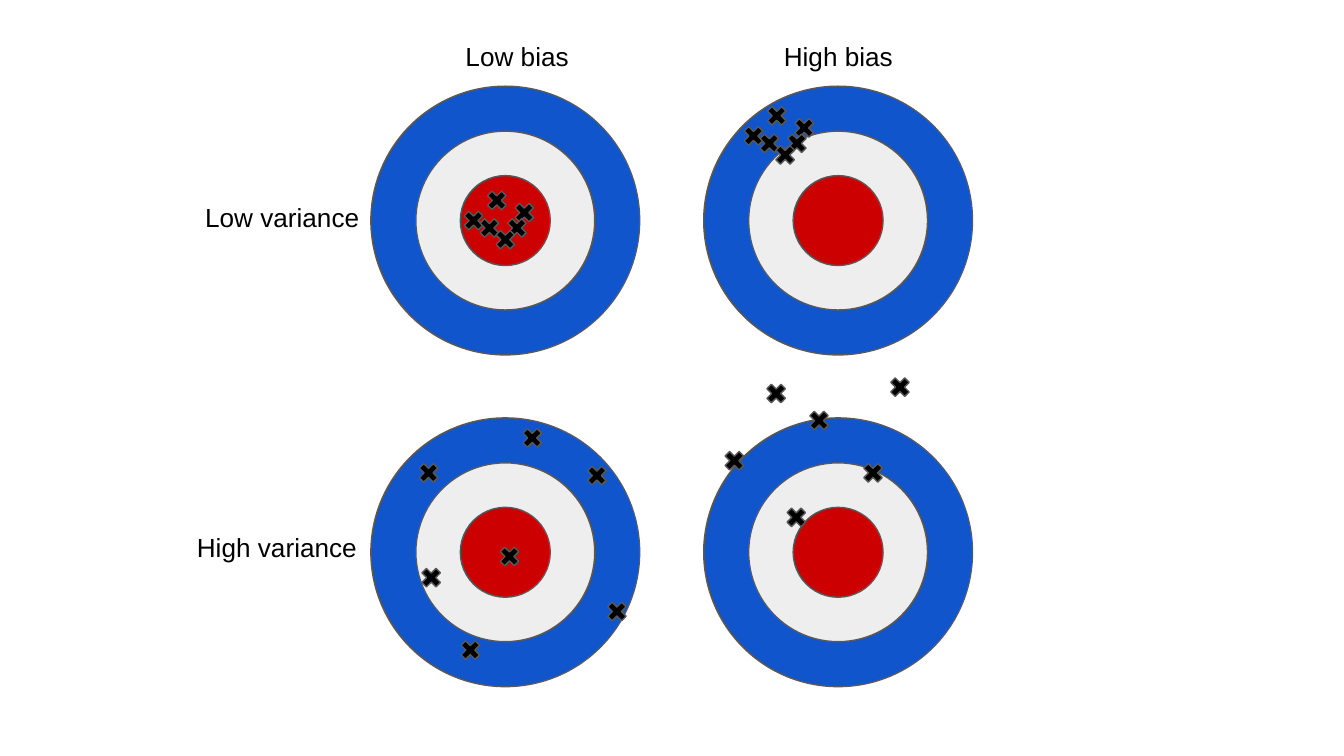
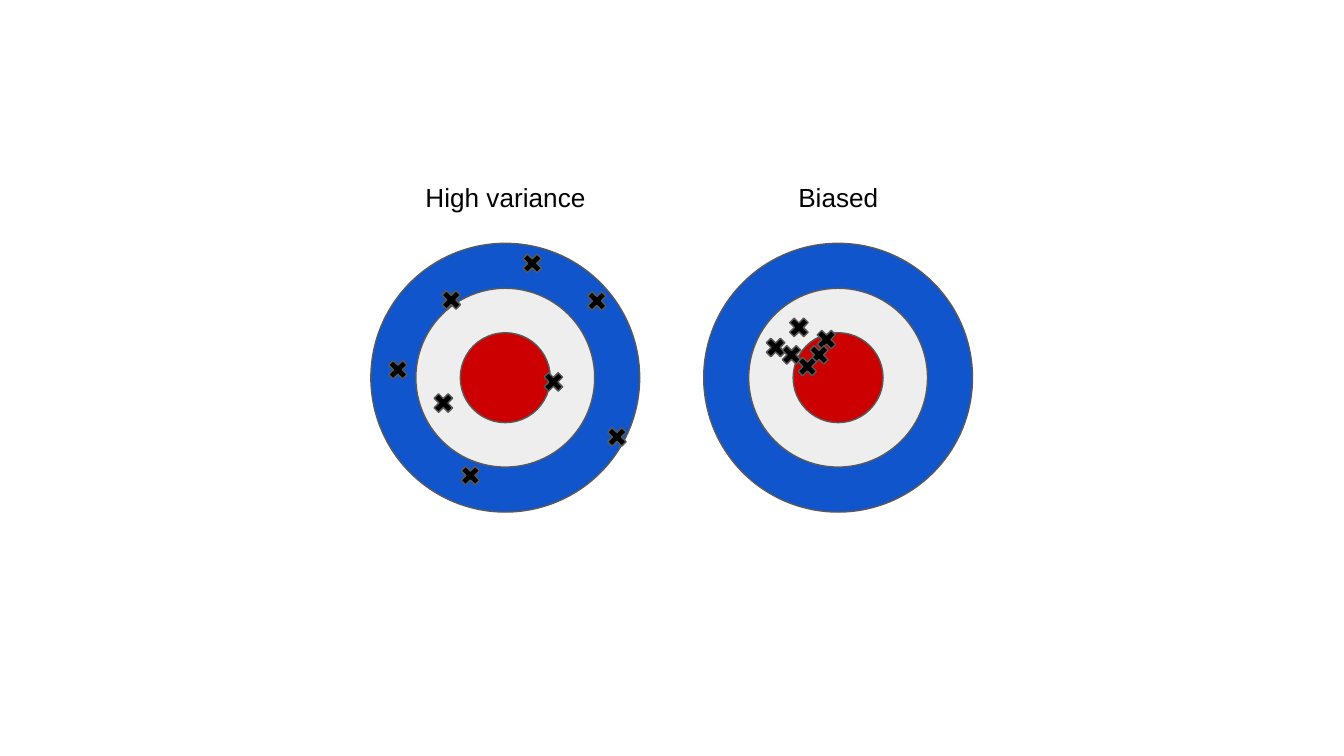
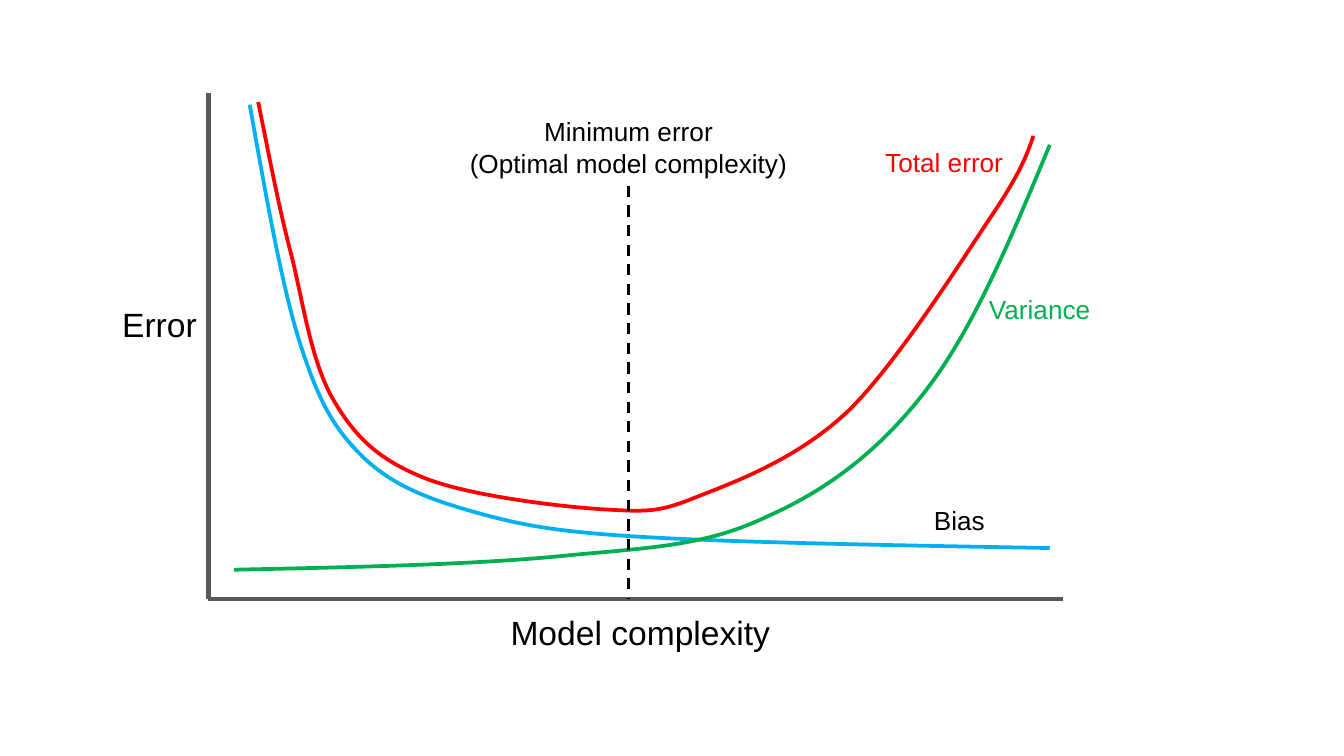
from dataclasses import dataclass

from lxml import etree
from pptx import Presentation
from pptx import util as u
from pptx.dml.color import RGBColor
from pptx.enum import dml, shapes, text
from pptx.oxml.ns import qn


@dataclass(frozen=True)
class Theme:
    font: str = "Arial"
    label: int = 14
    axis_label: int = 18
    ink: str = "000000"
    outline: str = "595959"
    outer: str = "1155CC"
    middle: str = "EEEEEE"
    bullseye: str = "CC0000"
    bias: str = "00B0F0"
    variance: str = "00B050"
    total: str = "FF0000"


theme = Theme()
prs = Presentation()
prs.slide_width, prs.slide_height = u.Cm(25.4), u.Cm(14.29)
blank = prs.slide_layouts[6]


def write(slide, words, left, top, width, height=1.27, size=theme.label, color=theme.ink,
          align=text.PP_ALIGN.CENTER, wrap=True, inset=0.25, outline=None):
    box = slide.shapes.add_textbox(u.Cm(left), u.Cm(top), u.Cm(width), u.Cm(height))
    frame = box.text_frame
    frame.word_wrap = wrap
    if not wrap:
        frame.auto_size = text.MSO_AUTO_SIZE.SHAPE_TO_FIT_TEXT
    frame.margin_left = frame.margin_right = u.Cm(0.25)
    frame.margin_top = frame.margin_bottom = u.Cm(inset)
    frame.text = words
    for paragraph in frame.paragraphs:
        paragraph.alignment = align
        font = paragraph.runs[0].font
        font.name, font.size = theme.font, u.Pt(size)
        font.color.rgb = RGBColor.from_string(color)
        if outline:
            edge = etree.Element(qn("a:ln"), w=str(u.Pt(0.75)))
            fill = etree.SubElement(edge, qn("a:solidFill"))
            etree.SubElement(fill, qn("a:srgbClr"), val=outline)
            paragraph.runs[0]._r.get_or_add_rPr().insert(0, edge)
    return box


def draw_target(canvas, center_x, center_y, shots):
    """Draw the three rings, then the shots given as offsets from the centre."""
    oval, cross = shapes.MSO_SHAPE.OVAL, shapes.MSO_SHAPE.MATH_MULTIPLY
    parts = [(oval, theme.outer, 5.08, 0, 0),
             (oval, theme.middle, 3.38, 0, 0),
             (oval, theme.bullseye, 1.7, 0, 0)]
    parts += [(cross, theme.ink, 0.51, dx, dy) for dx, dy in shots]
    for kind, color, size, dx, dy in parts:
        part = canvas.add_shape(kind, u.Cm(center_x + dx - size / 2),
                                u.Cm(center_y + dy - size / 2), u.Cm(size), u.Cm(size))
        part.shadow.inherit = False
        part.fill.solid()
        part.fill.fore_color.rgb = RGBColor.from_string(color)
        part.line.color.rgb = RGBColor.from_string(theme.outline)
        part.line.width = u.Pt(0.75)


# Shot patterns, in cm from the target centre
cluster = [(0.36, -0.15), (-0.6, 0), (-0.3, 0.14), (0.22, 0.14), (0, 0.36), (-0.16, -0.38)]
high_bias_cluster = [(x - 1, y - 1.6) for x, y in cluster]
biased_cluster = [(x - 0.58, y - 0.57) for x, y in cluster]
scatter = [(0.51, -2.16), (2.11, 1.12), (-0.66, 1.85), (1.73, -1.45)]
centered_scatter = scatter + [(0.08, 0.08), (-1.45, -1.5), (-1.4, 0.48)]
wide_scatter = scatter + [(-2.03, -0.15), (0.91, 0.08), (-1.02, -1.47), (-1.17, 0.48)]
high_bias_scatter = [(1.17, -3.12), (-0.79, -0.66), (0.66, -1.5),
                     (-1.96, -1.73), (-0.36, -2.49), (-1.17, -3)]
low_x, high_x = 9.55, 15.84

# Slide 1: bias against variance
grid = prs.slides.add_slide(blank)
for center_y, row in [(4.17, (cluster, high_bias_cluster)),
                      (10.44, (centered_scatter, high_bias_scatter))]:
    for center_x, shots in zip((low_x, high_x), row):
        draw_target(grid.shapes, center_x, center_y, shots)
for words, left, top, width in [("Low bias", 8.2, 0.51, 3.15),
                                ("High bias", 14.27, 0.51, 3.15),
                                ("Low variance", 3.58, 3.56, 3.51),
                                ("High variance", 3.38, 9.8, 3.71)]:
    write(grid, words, left, top, width)

# Slide 2: high variance beside bias
pair = prs.slides.add_slide(blank)
draw_target(pair.shapes, high_x, 7.14, biased_cluster)
draw_target(pair.shapes.add_group_shape().shapes, low_x, 7.14, wide_scatter)
write(pair, "Biased", 14.27, 3.18, 3.15)
write(pair, "High variance", 7.7, 3.18, 3.71)

# Slide 3: error against model complexity
tradeoff = prs.slides.add_slide(blank)

# Curves: a start point, then two control points and an end point per segment
curves = [
    (theme.bias, [
        (4.72, 1.98),
        (5.03, 3.71), (5.33, 5.44), (5.69, 6.55),
        (6.05, 7.65), (6.32, 8.1), (6.86, 8.64),
        (7.42, 9.17), (8.05, 9.42), (8.97, 9.68),
        (9.86, 9.93), (10.52, 10.06), (12.32, 10.16),
        (14.15, 10.26), (16.99, 10.31), (19.84, 10.36)]),
    (theme.variance, [
        (4.42, 10.77),
        (6.78, 10.72), (9.12, 10.67), (10.82, 10.49),
        (12.5, 10.34), (13.41, 10.29), (14.53, 9.75),
        (15.65, 9.25), (16.64, 8.51), (17.53, 7.34),
        (18.42, 6.17), (19.13, 4.45), (19.84, 2.74)]),
    (theme.total, [
        (4.88, 1.93),
        (5.08, 2.9), (5.26, 3.89), (5.51, 4.83),
        (5.74, 5.77), (5.89, 6.88), (6.32, 7.59),
        (6.73, 8.28), (7.16, 8.69), (8.03, 9.04),
        (8.86, 9.37), (10.57, 9.58), (11.43, 9.63),
        (12.29, 9.68), (12.47, 9.68), (13.23, 9.37),
        (14, 9.07), (15.11, 8.64), (16.03, 7.77),
        (16.94, 6.88), (18.14, 4.98), (18.72, 4.11),
        (19.3, 3.25), (19.41, 2.92), (19.53, 2.57)]),
]
for color, points in curves:
    start, *rest = [(u.Cm(x), u.Cm(y)) for x, y in points]
    builder = tradeoff.shapes.build_freeform(*start)
    builder.add_line_segments(rest, close=False)
    curve = builder.convert_to_shape()
    curve.shadow.inherit = False
    curve.fill.background()
    curve.line.color.rgb = RGBColor.from_string(color)
    curve.line.width = u.Pt(2)
    # Turn each three straight steps into one Bezier segment
    steps = curve._element.xpath(".//a:lnTo")
    for first in range(0, len(steps), 3):
        bezier = etree.Element(qn("a:cubicBezTo"))
        steps[first].addprevious(bezier)
        for step in steps[first:first + 3]:
            bezier.append(step[0])
            step.getparent().remove(step)

# Labels
left_align = text.PP_ALIGN.LEFT
for words, left, top, width, height, size, color, outline in [
        ("Error", 2.06, 5.61, 1.93, 1.02, theme.axis_label, theme.ink, None),
        ("Model complexity", 9.4, 11.43, 5.46, 1.02, theme.axis_label, theme.ink, None),
        ("Total error", 16.48, 2.64, 2.79, 0.86, theme.label, theme.total, None),
        ("Variance", 18.44, 5.41, 2.49, 0.86, theme.label, theme.variance, None),
        ("Bias", 17.4, 9.4, 1.47, 0.86, theme.label, theme.ink, theme.bias)]:
    write(tradeoff, words, left, top, width, height, size=size, color=color,
          align=left_align, wrap=False, inset=0.13, outline=outline)
optimum = write(tradeoff, "Minimum error\n(Optimal model complexity)", 8.61, 2.06, 6.54, 1.45,
                wrap=False, inset=0.13)

# Axes and the line of minimum error
origin_x, origin_y, optimum_x = 3.94, 11.33, 11.88
for x1, y1, x2, y2, color, weight, dash in [
        (origin_x, 1.75, origin_x, origin_y, theme.outline, 2.25, None),
        (origin_x, origin_y, 20.09, origin_y, theme.outline, 2.25, None),
        (optimum_x, 3.51, optimum_x, origin_y, theme.ink, 1.5, dml.MSO_LINE.DASH)]:
    rule = tradeoff.shapes.add_connector(shapes.MSO_CONNECTOR.STRAIGHT,
                                         u.Cm(x1), u.Cm(y1), u.Cm(x2), u.Cm(y2))
    rule.line.color.rgb = RGBColor.from_string(color)
    rule.line.width = u.Pt(weight)
    if dash:
        rule.line.dash_style = dash
        rule.begin_connect(optimum, 2)
    etree.SubElement(rule._element.spPr, qn("a:effectLst"))

prs.save("out.pptx")
